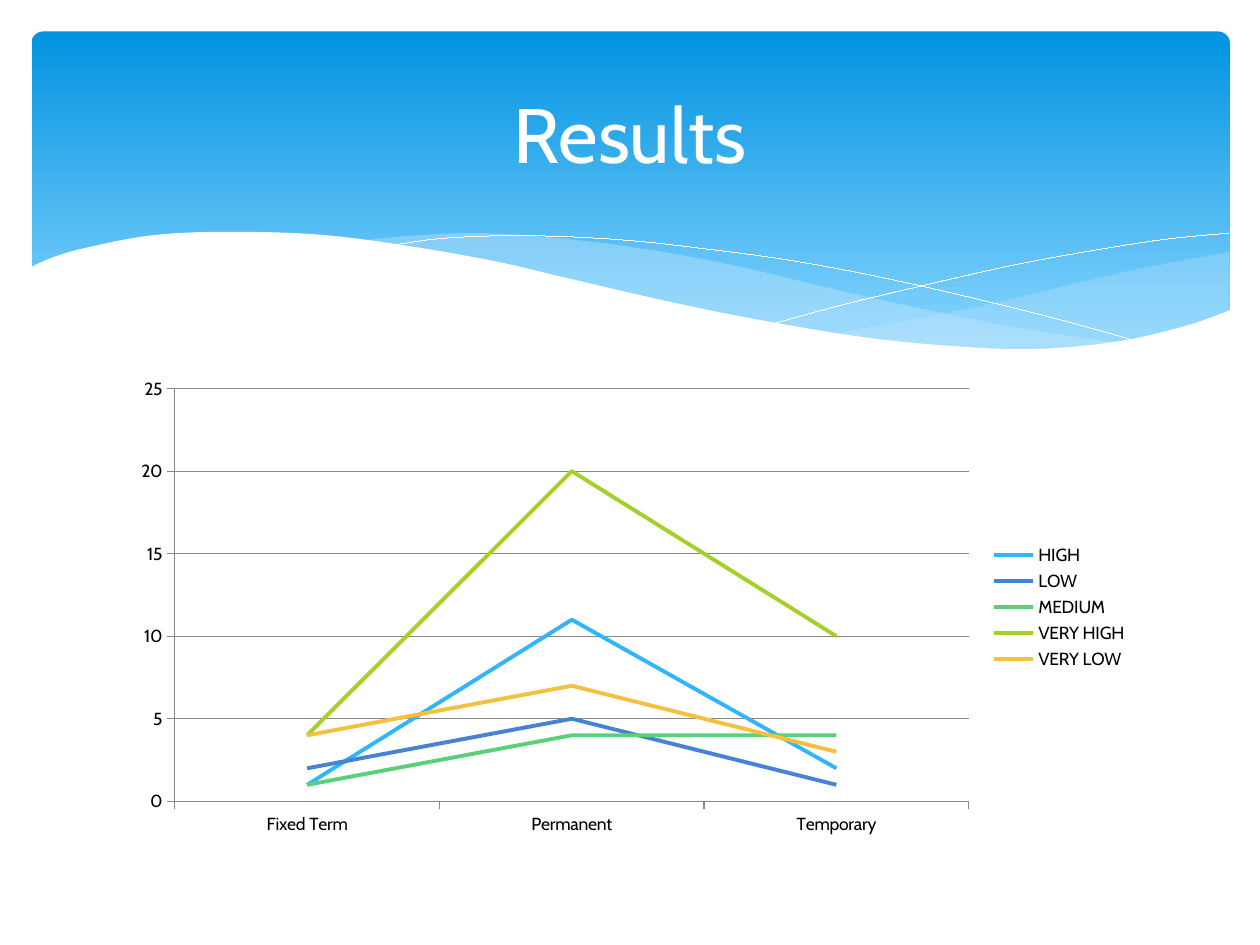
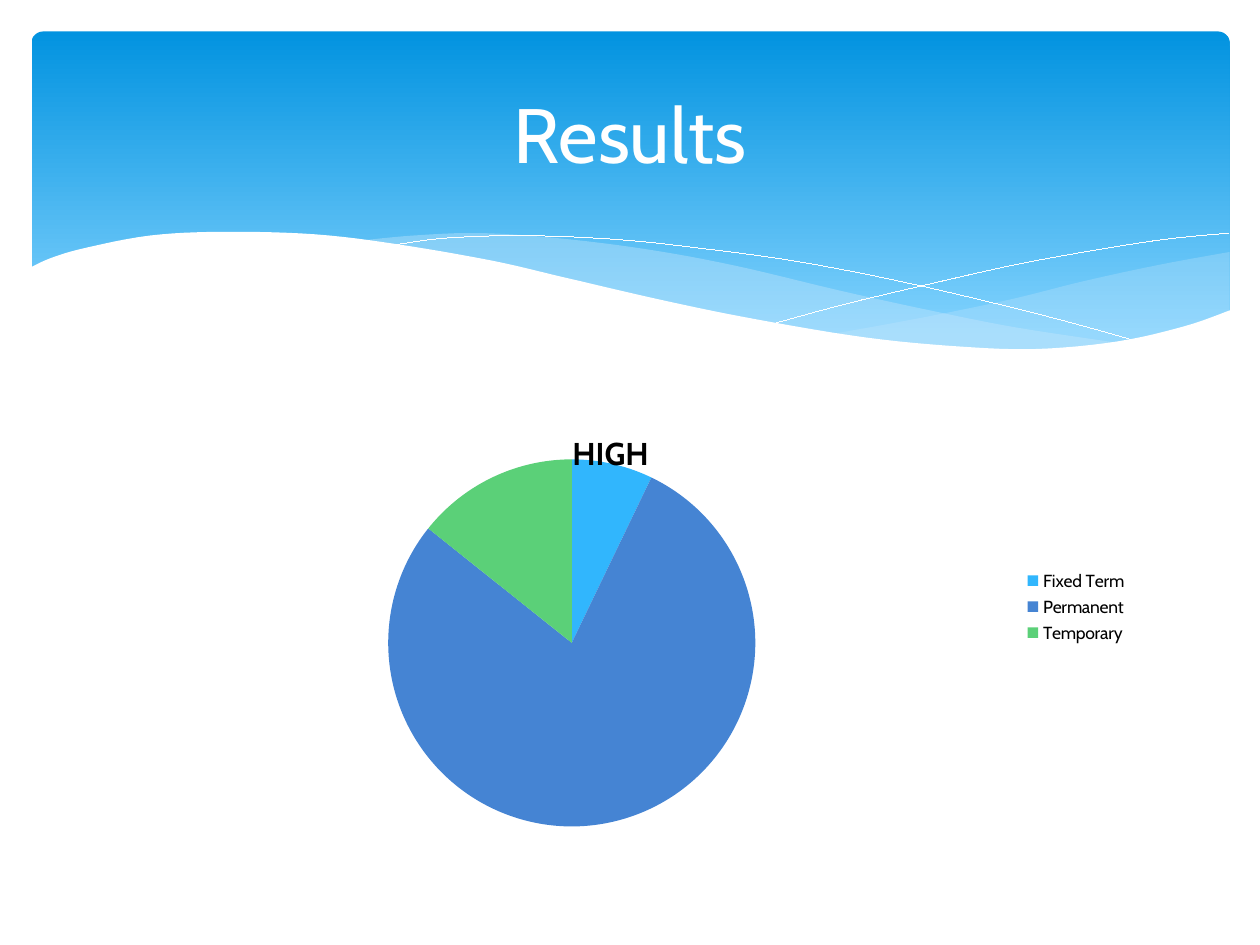
from lxml import etree
from pptx import Presentation
from pptx.chart.data import CategoryChartData
from pptx.dml.color import RGBColor
from pptx.enum.chart import XL_CHART_TYPE as ChartType
from pptx.enum.chart import XL_LEGEND_POSITION as LegendPosition
from pptx.enum.chart import XL_TICK_MARK as TickMark
from pptx.enum.shapes import MSO_SHAPE as Preset
from pptx.enum.text import MSO_ANCHOR as Anchor
from pptx.enum.text import PP_ALIGN as Align
from pptx.oxml.ns import qn
from pptx.util import Emu, Inches, Pt

FONT = "Cabin"
WHITE = RGBColor(0xFF, 0xFF, 0xFF)
BLACK = RGBColor(0, 0, 0)
GRID_GRAY = RGBColor(0x86, 0x86, 0x86)
BAND_TOP = RGBColor(0x02, 0x93, 0xE0)
BAND_BOTTOM = RGBColor(0x83, 0xD3, 0xFE)
VEIL_BLUE = RGBColor(0xC6, 0xE7, 0xFC)
SERIES_COLORS = [
    RGBColor(0x31, 0xB6, 0xFD),
    RGBColor(0x45, 0x84, 0xD3),
    RGBColor(0x5B, 0xD0, 0x78),
    RGBColor(0xA5, 0xD0, 0x28),
    RGBColor(0xF5, 0xC0, 0x40),
]
HAIRLINE = Emu(1)

RIGHT_VEIL_TOP = [(6.61, 2.65), (7.06, 2.57), (7.53, 2.48), (8.05, 2.37),
                  (8.61, 2.23), (9.21, 2.1), (9.76, 2)]
RIGHT_VEIL_BOTTOM = [(9.76, 2.47), (9.35, 2.62), (8.89, 2.72), (8.35, 2.77),
                     (7.81, 2.77), (7.19, 2.72), (6.61, 2.65)]
LEFT_VEIL_TOP = [(2.86, 1.91), (3.28, 1.87), (3.8, 1.85), (4.42, 1.89),
                 (5.14, 1.98), (5.84, 2.11), (6.68, 2.31), (7.41, 2.47),
                 (8.07, 2.6), (8.93, 2.73)]
LEFT_VEIL_BOTTOM = [(8.93, 2.73), (8.48, 2.77), (7.96, 2.78), (7.36, 2.75),
                    (6.65, 2.66), (5.84, 2.52), (4.91, 2.32), (4.27, 2.16),
                    (3.62, 2.03), (2.86, 1.91)]
FALLING_LINE = [(3.09, 1.95), (3.53, 1.89), (4.16, 1.87), (4.89, 1.9),
                (5.56, 1.97), (6.36, 2.08), (7.27, 2.26), (8.31, 2.51),
                (9.07, 2.72)]
RISING_LINE = [(6.13, 2.57), (6.72, 2.41), (7.48, 2.23), (8.06, 2.1),
               (8.66, 1.99), (9.24, 1.9), (9.75, 1.85)]
WAVE = [(0.23, 2.13), (0.4, 2.05), (0.67, 1.97), (1.19, 1.87), (1.77, 1.84),
        (2.5, 1.86), (3.16, 1.94), (3.91, 2.07), (4.47, 2.2), (5.29, 2.39),
        (6.03, 2.54), (6.88, 2.68), (7.61, 2.75), (8.23, 2.77), (8.87, 2.71),
        (9.4, 2.59), (9.77, 2.46)]
WAVE_BASE = [(9.77, 3.29), (0.23, 3.29)]

CONTRACTS = ["Fixed Term", "Permanent", "Temporary"]
COUNTS_BY_LEVEL = {
    "HIGH": (1, 11, 2),
    "LOW": (2, 5, 1),
    "MEDIUM": (1, 4, 4),
    "VERY HIGH": (4, 20, 10),
    "VERY LOW": (4, 7, 3),
}


def smooth_curve(anchors, steps=6):
    """Return points of a Catmull-Rom curve through the anchors."""
    padded = [anchors[0], *anchors, anchors[-1]]
    points = [anchors[0]]
    for a, b, c, d in zip(padded, padded[1:], padded[2:], padded[3:]):
        for step in range(1, steps + 1):
            t = step / steps
            points.append(tuple(
                0.5 * (2 * q + (r - p) * t
                       + (2 * p - 5 * q + 4 * r - s) * t ** 2
                       + (3 * q - p - 3 * r + s) * t ** 3)
                for p, q, r, s in zip(a, b, c, d)))
    return points


def add_outline(slide, points, close):
    start, *others = [(Inches(x), Inches(y)) for x, y in points]
    builder = slide.shapes.build_freeform(*start)
    builder.add_line_segments(others, close=close)
    shape = builder.convert_to_shape()
    shape.shadow.inherit = False
    return shape


def add_area(slide, points, color, opacity=100):
    shape = add_outline(slide, points, close=True)
    shape.fill.solid()
    shape.fill.fore_color.rgb = color
    shape.line.fill.background()
    if opacity < 100:
        color_element = shape.fill._xPr.find(".//" + qn("a:srgbClr"))
        alpha = etree.SubElement(color_element, qn("a:alpha"))
        alpha.set("val", str(opacity * 1000))


def add_hairline(slide, anchors):
    shape = add_outline(slide, smooth_curve(anchors), close=False)
    shape.fill.background()
    shape.line.color.rgb = WHITE
    shape.line.width = HAIRLINE


def add_band(slide):
    band = slide.shapes.add_shape(Preset.ROUNDED_RECTANGLE, Inches(0.25),
                                  Inches(0.25), Inches(9.51), Inches(2.7))
    band.adjustments[0] = 0.034
    band.shadow.inherit = False
    band.line.fill.background()
    band.fill.gradient()
    band.fill.gradient_angle = 270
    stops = zip(band.fill.gradient_stops, (0, 0.9), (BAND_TOP, BAND_BOTTOM))
    for stop, position, color in stops:
        stop.position = position
        stop.color.rgb = color

    for top, bottom, opacity in ((RIGHT_VEIL_TOP, RIGHT_VEIL_BOTTOM, 29),
                                 (LEFT_VEIL_TOP, LEFT_VEIL_BOTTOM, 40)):
        points = smooth_curve(top) + smooth_curve(bottom)
        add_area(slide, points, VEIL_BLUE, opacity)
    add_hairline(slide, FALLING_LINE)
    add_hairline(slide, RISING_LINE)
    add_area(slide, smooth_curve(WAVE) + WAVE_BASE, WHITE)


def style_font(font, size, color, bold=False):
    font.name = FONT
    font.size = Pt(size)
    font.color.rgb = color
    font.bold = bold


def add_title(slide, text):
    box = slide.shapes.add_textbox(Inches(0.5), Inches(0.37),
                                   Inches(9), Inches(1.37))
    frame = box.text_frame
    frame.word_wrap = True
    frame.vertical_anchor = Anchor.MIDDLE
    paragraph = frame.paragraphs[0]
    paragraph.alignment = Align.CENTER
    run = paragraph.add_run()
    run.text = text
    style_font(run.font, 44, WHITE)


def add_results_slide(presentation):
    slide = presentation.slides.add_slide(presentation.slide_layouts[6])
    slide.background.fill.solid()
    slide.background.fill.fore_color.rgb = WHITE
    add_band(slide)
    add_title(slide, "Results")
    return slide


def place_in_chart(element, inner=False, **fractions):
    """Fix a chart part at x, y, w, h, given as fractions of the chart."""
    layout = element.find(qn("c:layout"))
    if layout is None:
        layout = etree.Element(qn("c:layout"))
        element.insert(0, layout)
    manual = etree.SubElement(layout, qn("c:manualLayout"))
    settings = [("layoutTarget", "inner")] if inner else []
    settings += [(f"{key}Mode", "edge") for key in "xy"]
    settings += fractions.items()
    for tag, value in settings:
        etree.SubElement(manual, qn(f"c:{tag}")).set("val", str(value))


def add_results_chart(slide, chart_type, **plot_fractions):
    data = CategoryChartData()
    data.categories = CONTRACTS
    for level, counts in COUNTS_BY_LEVEL.items():
        data.add_series(level, counts)
    chart = slide.shapes.add_chart(chart_type, Inches(0.95), Inches(2.93),
                                   Inches(8.1), Inches(3.77), data).chart
    # A new pie holds only the first series; replacing the data adds the rest.
    chart.replace_data(data)
    style_font(chart.font, 10, BLACK)
    chart.has_title = False
    chart.has_legend = True
    chart.legend.position = LegendPosition.RIGHT
    chart.legend.include_in_layout = False
    plot_area = chart._chartSpace.find(".//" + qn("c:plotArea"))
    place_in_chart(plot_area, inner=True, **plot_fractions)
    return chart


def style_gray_line(line):
    line.color.rgb = GRID_GRAY
    line.width = Pt(0.75)


def add_line_chart(slide):
    chart = add_results_chart(slide, ChartType.LINE,
                              x=0.054, y=0.041, w=0.778, h=0.869)
    for axis in (chart.category_axis, chart.value_axis):
        axis.major_tick_mark = TickMark.OUTSIDE
        axis.minor_tick_mark = TickMark.NONE
        style_gray_line(axis.format.line)
    value_axis = chart.value_axis
    value_axis.minimum_scale, value_axis.maximum_scale = 0, 25
    value_axis.major_unit = 5
    value_axis.has_major_gridlines = True
    style_gray_line(value_axis.major_gridlines.format.line)
    for series, color in zip(chart.plots[0].series, SERIES_COLORS):
        series.smooth = False
        series.format.line.color.rgb = color
        series.format.line.width = Pt(2.25)


def add_pie_chart(slide):
    chart = add_results_chart(slide, ChartType.PIE,
                              x=0.054, y=0.19, w=0.778, h=0.773)
    chart.plots[0].vary_by_categories = True
    for series in chart.plots[0].series:
        for index, color in enumerate(SERIES_COLORS[:len(CONTRACTS)]):
            fill = series.points[index].format.fill
            fill.solid()
            fill.fore_color.rgb = color

    chart.has_title = True
    run = chart.chart_title.text_frame.paragraphs[0].add_run()
    run.text = "HIGH"
    style_font(run.font, 18, BLACK, bold=True)
    title = chart.chart_title._element
    place_in_chart(title, x=0.438, y=0.12)
    title.find(qn("c:overlay")).set("val", "1")


def main():
    presentation = Presentation()
    presentation.slide_width = Inches(10)
    presentation.slide_height = Inches(7.5)
    add_line_chart(add_results_slide(presentation))
    add_pie_chart(add_results_slide(presentation))
    presentation.save("out.pptx")


if __name__ == "__main__":
    main()
